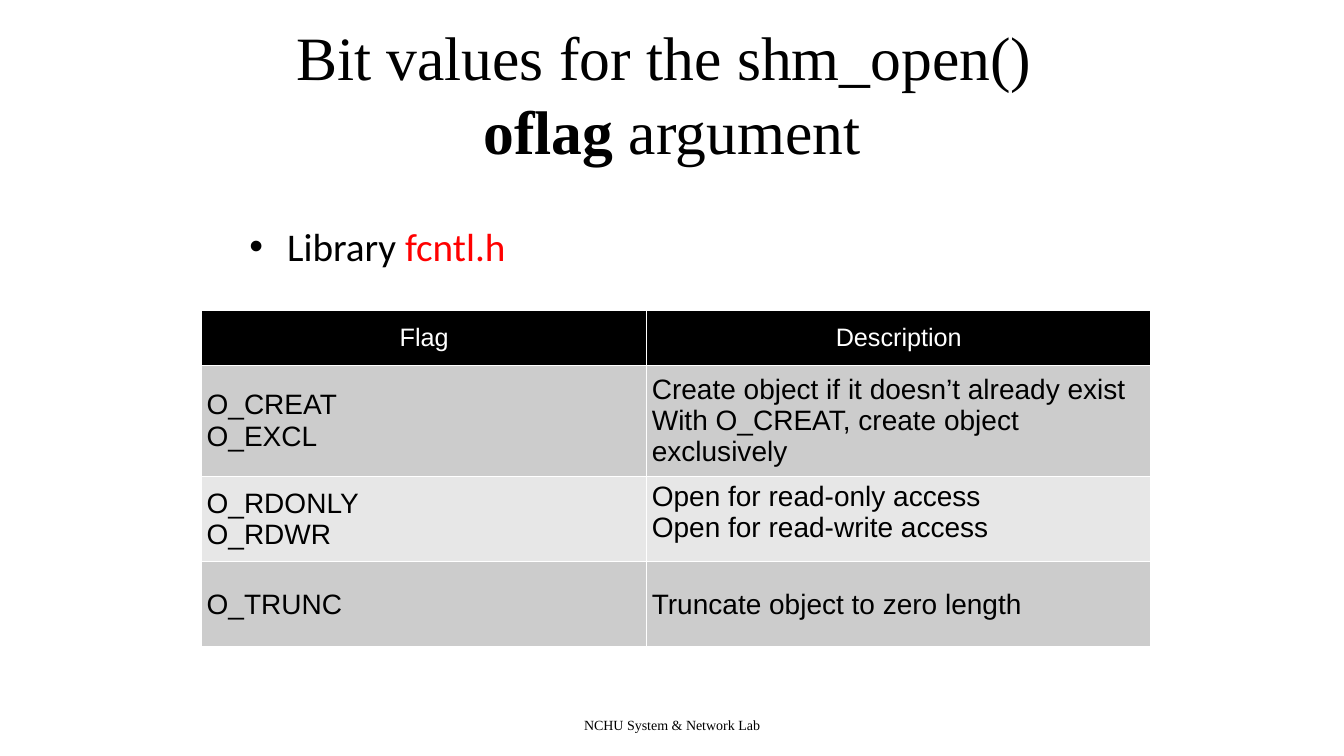
from lxml import etree
from pptx import Presentation
from pptx.dml.color import RGBColor
from pptx.enum import text as t
from pptx.oxml import ns
from pptx.util import Pt

COLOURS = {"ink": "000000", "paper": "FFFFFF", "library": "FF0000",
           "header": "000000", "odd": "CCCCCC", "even": "E7E7E7"}
SERIF, SANS, BODY = "Times New Roman", "Arial", "Calibri"
CENTER, LEFT = t.PP_ALIGN.CENTER, t.PP_ALIGN.LEFT
MIDDLE, TOP = t.MSO_ANCHOR.MIDDLE, t.MSO_ANCHOR.TOP

FLAGS = [
    (["O_CREAT", "O_EXCL"],
     ["Create object if it doesn’t already exist",
      "With O_CREAT, create object exclusively"]),
    (["O_RDONLY", "O_RDWR"],
     ["Open for read-only access", "Open for read-write access"]),
    (["O_TRUNC"], ["Truncate object to zero length"]),
]


def rgb(name):
    return RGBColor.from_string(COLOURS[name])


def add_run(paragraph, words, font, size, colour="ink", bold=False):
    run = paragraph.add_run()
    run.text = words
    run.font.name, run.font.size, run.font.bold = font, Pt(size), bold
    run.font.color.rgb = rgb(colour)


def add_text_frame(slide, box, anchor=TOP):
    frame = slide.shapes.add_textbox(*map(Pt, box)).text_frame
    frame.word_wrap = True
    frame.vertical_anchor = anchor
    return frame


def add_title(slide, box):
    heading = add_text_frame(slide, box, MIDDLE).paragraphs[0]
    heading.alignment = CENTER
    add_run(heading, "Bit values for the shm_open() ", SERIF, 44)
    heading.add_line_break()
    add_run(heading, "oflag", SERIF, 44, bold=True)
    add_run(heading, " argument", SERIF, 44)


def add_library(slide, box):
    library = add_text_frame(slide, box).paragraphs[0]
    library.space_before = Pt(5.6)
    # Hanging bullet
    props = library._p.get_or_add_pPr()
    props.set("marL", str(Pt(27)))
    props.set("indent", str(-Pt(27)))
    etree.SubElement(props, ns.qn("a:buFont"), typeface=SANS)
    etree.SubElement(props, ns.qn("a:buChar"), char="•")
    add_run(library, "Library ", BODY, 28)
    add_run(library, "fcntl.h", BODY, 28, "library")


def add_borders(cell):
    props = cell._tc.get_or_add_tcPr()
    for index, side in enumerate(("lnL", "lnR", "lnT", "lnB")):
        line = etree.Element(ns.qn("a:" + side), w=str(Pt(1)))
        fill = etree.SubElement(line, ns.qn("a:solidFill"))
        etree.SubElement(fill, ns.qn("a:srgbClr"), val=COLOURS["paper"])
        props.insert(index, line)


def fill_cell(cell, lines, size, ink, fill, align=LEFT, anchor=MIDDLE):
    cell.fill.solid()
    cell.fill.fore_color.rgb = rgb(fill)
    cell.vertical_anchor = anchor
    cell.margin_left = cell.margin_right = Pt(3.6)
    cell.margin_top = cell.margin_bottom = Pt(3.6)
    frame = cell.text_frame
    for index, words in enumerate(lines):
        paragraph = frame.add_paragraph() if index else frame.paragraphs[0]
        paragraph.alignment = align
        add_run(paragraph, words, SANS, size, ink)
    add_borders(cell)


def add_flag_table(slide, box):
    flags = slide.shapes.add_table(len(FLAGS) + 1, 2, *map(Pt, box)).table
    for column, width in zip(flags.columns, (318, box[2] - 318)):
        column.width = Pt(width)
    for row, height in zip(flags.rows, (39, 74.4, 61, 61)):
        row.height = Pt(height)
    # Header
    for column, label in enumerate(("Flag", "Description")):
        fill_cell(flags.cell(0, column), [label], 18, "paper", "header", CENTER)
    # Flags and what they do
    for row, entry in enumerate(FLAGS, 1):
        fill = "odd" if row % 2 else "even"
        for column, lines in enumerate(entry):
            anchor = TOP if (row, column) == (2, 1) else MIDDLE
            fill_cell(flags.cell(row, column), lines, 20, "ink", fill,
                      anchor=anchor)


def add_footer(slide, box):
    footer = add_text_frame(slide, box).paragraphs[0]
    footer.alignment = CENTER
    add_run(footer, "NCHU System & Network Lab", SERIF, 10)


def main():
    deck = Presentation()
    deck.slide_width, deck.slide_height = Pt(960), Pt(540)
    slide = deck.slides.add_slide(deck.slide_layouts[6])
    add_footer(slide, (276, 508, 408, 17.5))
    add_title(slide, (48, 21.6, 864, 90))
    add_flag_table(slide, (144, 222, 678, 235.4))
    add_library(slide, (171, 155, 648, 90))
    deck.save("out.pptx")


if __name__ == "__main__":
    main()
